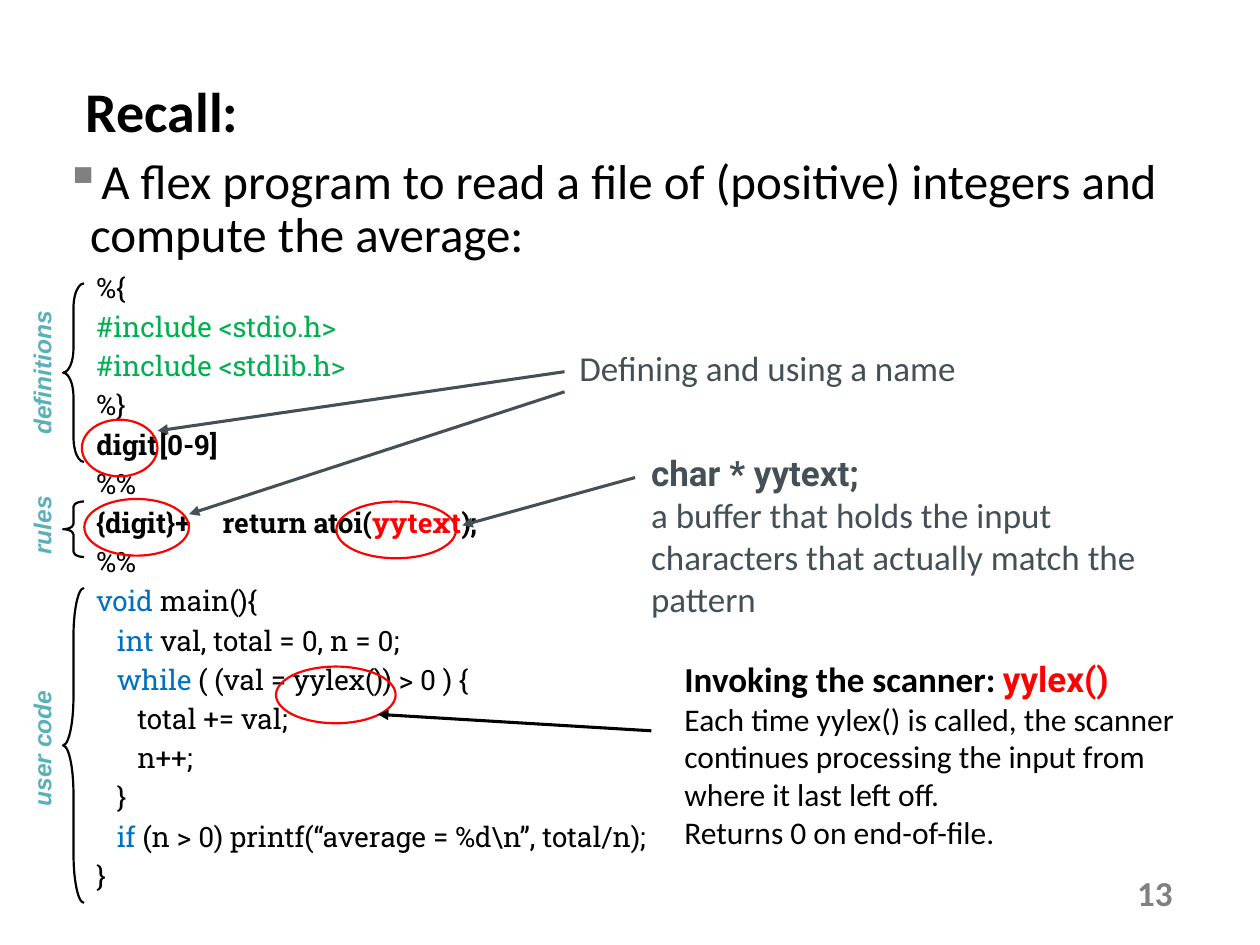
from lxml import etree
from pptx import Presentation
from pptx.dml.color import RGBColor
from pptx.enum import shapes, text
from pptx.oxml.ns import qn
from pptx.util import Pt

BLACK = RGBColor(0x00, 0x00, 0x00)
GRAY = RGBColor(0x80, 0x80, 0x80)
SLATE = RGBColor(0x44, 0x4F, 0x56)
TEAL = RGBColor(0x59, 0xB0, 0xB9)
RED = RGBColor(0xFF, 0x00, 0x00)
GREEN = RGBColor(0x00, 0xB0, 0x50)
BLUE = RGBColor(0x00, 0x70, 0xC0)

CODE_PITCH = 22.4  # distance between code lines
CODE_INDENT = 11.7  # one nesting level

# Each code line: nesting level, tab stop or None, runs of (text, colour, bold)
CODE = [
    (0, None, [("%{", BLACK, False)]),
    (0, None, [("#include <stdio.h>", GREEN, False)]),
    (0, None, [("#include <stdlib.h>", GREEN, False)]),
    (0, None, [("%}", BLACK, False)]),
    (0, 51, [("digit\t[0-9]", BLACK, True)]),
    (0, None, [("%%", BLACK, False)]),
    (0, 65, [("{digit}+\treturn atoi(", BLACK, True), ("yytext", RED, True),
             (");", BLACK, True)]),
    (0, None, [("%%", BLACK, False)]),
    (0, None, [("void", BLUE, False), (" main(){", BLACK, False)]),
    (1, None, [("int ", BLUE, False), ("val, total = 0, n = 0;", BLACK, False)]),
    (1, None, [("while", BLUE, False), (" ( (val = yylex()) > 0 ) {", BLACK, False)]),
    (2, None, [("total += val;", BLACK, False)]),
    (2, None, [("n++;", BLACK, False)]),
    (1, None, [("}", BLACK, False)]),
    (1, None, [("if", BLUE, False),
               (" (n > 0) printf(“average = %d\\n”, total/n);", BLACK, False)]),
    (0, None, [("}", BLACK, False)]),
]

# Brace top, brace height, label, label centre
SECTIONS = [
    (162, 102, "definitions", 213, 1.167),
    (286.6, 31.7, "rules", 300.2, 0.25),
    (336, 180, "user code", 427.7, 2.333),
]

HIGHLIGHTS = [
    (46.8, 239.8, 43.2, 32.4),
    (48.2, 285.1, 59.8, 32.4),
    (192.2, 286.6, 68.4, 32.4),
    (157.7, 380.9, 68.4, 32.4),
]

# Start, end, colour
ARROWS = [
    ((322.6, 212.4), (90, 246.2), SLATE),
    ((322.6, 223.9), (108, 293.8), SLATE),
    ((362.9, 272.9), (264.2, 300.2), SLATE),
    ((372.2, 417.6), (216, 408.2), BLACK),
]


def points(values):
    return [Pt(value) for value in values]


def font_format(name, size, color, bold=False, italic=False):
    return {"name": name, "size": Pt(size), "bold": bold, "italic": italic,
            "color": color}


def add_run(paragraph, words, font):
    run = paragraph.add_run()
    run.text = words
    for key, value in font.items():
        if key == "color":
            run.font.color.rgb = value
        else:
            setattr(run.font, key, value)


def add_text(slide, box, paragraphs, **frame_format):
    """Place a text box; each paragraph is a list of (words, font format)."""
    shape = slide.shapes.add_textbox(*points(box))
    frame = shape.text_frame
    for key, value in ({"word_wrap": True} | frame_format).items():
        setattr(frame, key, value)
    for index, runs in enumerate(paragraphs):
        paragraph = frame.add_paragraph() if index else frame.paragraphs[0]
        for words, font in runs:
            add_run(paragraph, words, font)
    return shape


def add_outline(slide, kind, box, color):
    shape = slide.shapes.add_shape(kind, *points(box))
    shape.shadow.inherit = False
    shape.fill.background()
    shape.line.color.rgb = color
    shape.line.width = Pt(1.25)
    return shape


def add_heading(slide, box):
    left, top, width, height = box
    middle = text.MSO_ANCHOR.MIDDLE
    add_text(slide, (left + 12, top, width - 6, 78),
             [[("Recall:", font_format("Calibri", 32, BLACK, True))]],
             vertical_anchor=middle)
    # Bulleted statement
    statement = add_text(
        slide, (left, top + 66, width, height - 66),
        [[("A flex program to read a file of (positive) integers and compute the average:",
           font_format("Calibri", 28, BLACK))]], vertical_anchor=middle)
    paragraph = statement.text_frame.paragraphs[0]
    paragraph.line_spacing = 0.9
    properties = paragraph._p.get_or_add_pPr()
    properties.set("marL", str(Pt(14.4)))
    properties.set("indent", str(-Pt(14.4)))
    color = etree.SubElement(properties, qn("a:buClr"))
    etree.SubElement(color, qn("a:srgbClr"), val=str(GRAY))
    etree.SubElement(properties, qn("a:buChar"), char="▪")


def add_code(slide, box):
    lines = [[(words, font_format("Roboto Slab", 16, color, bold))
              for words, color, bold in runs] for _, _, runs in CODE]
    listing = add_text(slide, box, lines, margin_top=Pt(1.3))
    for paragraph, (level, tab, _) in zip(listing.text_frame.paragraphs, CODE):
        paragraph.line_spacing = Pt(CODE_PITCH)
        properties = paragraph._p.get_or_add_pPr()
        properties.set("marL", str(Pt(level * CODE_INDENT)))
        properties.set("indent", "0")
        if tab:
            tabs = etree.SubElement(properties, qn("a:tabLst"))
            etree.SubElement(tabs, qn("a:tab"), pos=str(Pt(tab)), algn="l")


def add_section(slide, box, label, label_center, curve):
    left, top, width, height = box
    brace = add_outline(slide, shapes.MSO_SHAPE.LEFT_BRACE, box, BLACK)
    brace.adjustments[0] = curve
    # Label read upwards, beside the brace
    label_width, label_height = 86, 24.5
    shape = add_text(
        slide, (left - 11.9 - label_width / 2, label_center - label_height / 2,
                label_width, label_height),
        [[(label, font_format("Arial", 14, TEAL, True, True))]], word_wrap=False)
    shape.text_frame.paragraphs[0].alignment = text.PP_ALIGN.CENTER
    shape.rotation = 270


def add_arrow(slide, start, end, color):
    arrow = slide.shapes.add_connector(
        shapes.MSO_CONNECTOR.STRAIGHT, *points(start + end))
    arrow.line.color.rgb = color
    arrow.line.width = Pt(1.75)
    etree.SubElement(arrow.line._get_or_add_ln(), qn("a:tailEnd"), type="triangle")
    etree.SubElement(arrow._element.spPr, qn("a:effectLst"))


def add_callouts(slide, box):
    left, top, width, height = box
    right = left + width
    note = font_format("Calibri", 20, SLATE)
    detail = font_format("Calibri", 18, BLACK)
    add_text(slide, (left, top, width, 72), [[("Defining and using a name", note)]],
             vertical_anchor=text.MSO_ANCHOR.MIDDLE)
    add_text(slide, (left + 41, top + 80.6, 319, 104.4), [
        [("char * yytext;", font_format("Roboto", 20, SLATE, True))],
        [("a buffer that holds the input characters that actually match the pattern", note)],
    ])
    add_text(slide, (right - 312, top + height - 118.8, 312, 118.8), [
        [("Invoking the scanner:", font_format("Calibri", 20, BLACK, True)),
         (" ", font_format("Calibri", 18, BLACK, True)),
         ("yylex()", font_format("Roboto", 20, RED, True))],
        [("Each time yylex() is called, the scanner continues processing the input "
          "from where it last left off.", detail)],
        [("Returns 0 on end-of-file.", detail)],
    ])


def add_page_number(slide, box):
    shape = add_text(slide, box, [[("13", font_format("Calibri", 20, GRAY, True))]],
                     vertical_anchor=text.MSO_ANCHOR.MIDDLE)
    shape.text_frame.paragraphs[0].alignment = text.PP_ALIGN.CENTER


def main():
    presentation = Presentation()
    presentation.slide_width, presentation.slide_height = Pt(720), Pt(540)
    slide = presentation.slides.add_slide(presentation.slide_layouts[6])

    add_page_number(slide, (630, 486, 60, 48))
    add_code(slide, (48, 150, 354, 384))
    add_heading(slide, (30, 24, 648, 126))
    for top, height, label, center, curve in SECTIONS:
        add_section(slide, (36, top, 12, height), label, center, curve)
    for box in HIGHLIGHTS:
        add_outline(slide, shapes.MSO_SHAPE.OVAL, box, RED)
    for start, end, color in ARROWS:
        add_arrow(slide, start, end, color)
    add_callouts(slide, (324, 174, 372, 317))

    presentation.save("out.pptx")


if __name__ == "__main__":
    main()
